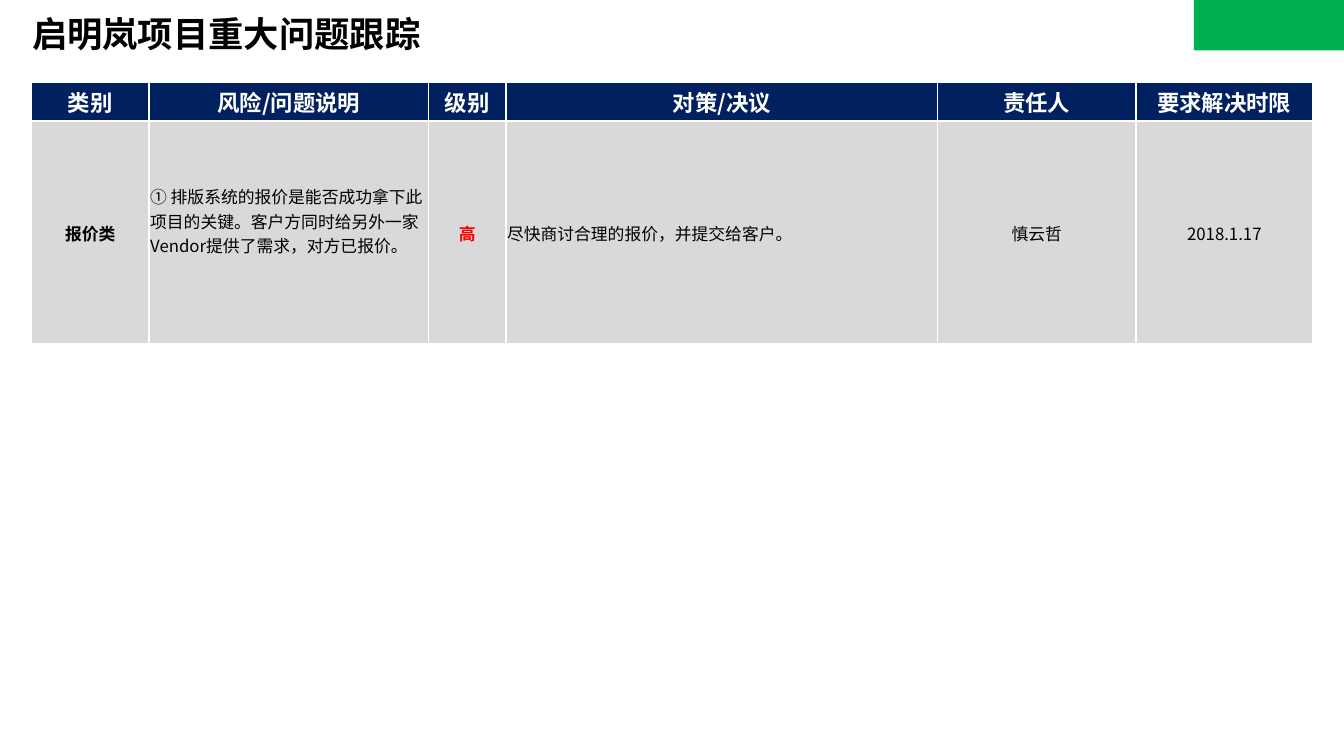
from lxml import etree
from pptx import Presentation
from pptx.dml.color import RGBColor
from pptx.enum.shapes import MSO_SHAPE
from pptx.enum.text import MSO_ANCHOR, PP_ALIGN
from pptx.oxml.ns import qn
from pptx.util import Inches, Pt

RECT = MSO_SHAPE.RECTANGLE
MIDDLE = MSO_ANCHOR.MIDDLE
LEFT, CENTER = PP_ALIGN.LEFT, PP_ALIGN.CENTER

COLORS = {
    "black": "000000",
    "white": "FFFFFF",
    "navy": "002060",
    "grey": "D9D9D9",
    "red": "FF0000",
    "green": "00B050",
}
FONT = "Noto Sans CJK SC"

COLUMNS = [1.17, 2.77, 0.77, 4.28, 1.97, 1.75]
ROWS = [0.39, 2.21]
HEADERS = ["类别", "风险/问题说明", "级别", "对策/决议", "责任人", "要求解决时限"]
ISSUE = [
    ("报价类", {"bold": True}),
    ("① 排版系统的报价是能否成功拿下此项目的关键。客户方同时给另外一家Vendor提供了需求，对方已报价。",
     {"align": LEFT, "bottom": 0.24}),
    ("高", {"bold": True, "color": "red"}),
    ("尽快商讨合理的报价，并提交给客户。", {"align": LEFT}),
    ("慎云哲", {}),
    ("2018.1.17", {}),
]


def rgb(name):
    return RGBColor.from_string(COLORS[name])


def write(tf, text, size=12, color="black", bold=False, align=CENTER, spacing=None):
    tf.word_wrap = True
    p = tf.paragraphs[0]
    p.alignment = align
    if spacing:
        p.line_spacing = spacing
    r = p.add_run()
    r.text = text
    r.font.size = Pt(size)
    r.font.bold = bold
    r.font.name = FONT
    r.font.color.rgb = rgb(color)
    ea = etree.SubElement(r.font._element, qn("a:ea"))
    ea.set("typeface", FONT)


class SlideBuilder:
    def __init__(self, prs):
        self.s = prs.slides.add_slide(prs.slide_layouts[6])
        self.header = {"size": 16, "color": "white", "bold": True}

    def title(self, text, box):
        sp = self.s.shapes.add_textbox(*map(Inches, box))
        sp.text_frame.vertical_anchor = MIDDLE
        write(sp.text_frame, text, size=25.2, bold=True, align=LEFT, spacing=0.9)

    def block(self, fill, box):
        sp = self.s.shapes.add_shape(RECT, *map(Inches, box))
        sp.shadow.inherit = False
        sp.fill.solid()
        sp.fill.fore_color.rgb = rgb(fill)
        sp.line.fill.background()

    def cell(self, cell, text, fill, bottom=0, **style):
        cell.margin_left = cell.margin_right = cell.margin_top = Inches(0.01)
        cell.margin_bottom = Inches(bottom)
        cell.vertical_anchor = MIDDLE
        tcPr = cell._tc.get_or_add_tcPr()
        for side in ("lnL", "lnR", "lnT", "lnB"):
            ln = etree.SubElement(tcPr, qn(f"a:{side}"), w=str(Pt(1.5)))
            solid = etree.SubElement(ln, qn("a:solidFill"))
            etree.SubElement(solid, qn("a:srgbClr"), val=COLORS["white"])
        cell.fill.solid()
        cell.fill.fore_color.rgb = rgb(fill)
        write(cell.text_frame, text, **style)

    def table(self, left, top):
        box = (left, top, sum(COLUMNS), sum(ROWS))
        frame = self.s.shapes.add_table(len(ROWS), len(COLUMNS), *map(Inches, box))
        table = frame.table
        for column, width in zip(table.columns, COLUMNS):
            column.width = Inches(width)
        for row, height in zip(table.rows, ROWS):
            row.height = Inches(height)
        for i, header in enumerate(HEADERS):
            self.cell(table.cell(0, i), header, "navy", **self.header)
        for i, (text, style) in enumerate(ISSUE):
            self.cell(table.cell(1, i), text, "grey", **style)


def main():
    prs = Presentation()
    prs.slide_width, prs.slide_height = Inches(13.33), Inches(7.5)
    slide = SlideBuilder(prs)
    slide.title("启明岚项目重大问题跟踪", (0.22, 0.18, 12.19, 0.36))
    slide.table(0.31, 0.81)
    slide.block("green", (11.84, 0, 1.49, 0.5))
    prs.save("out.pptx")


if __name__ == "__main__":
    main()
